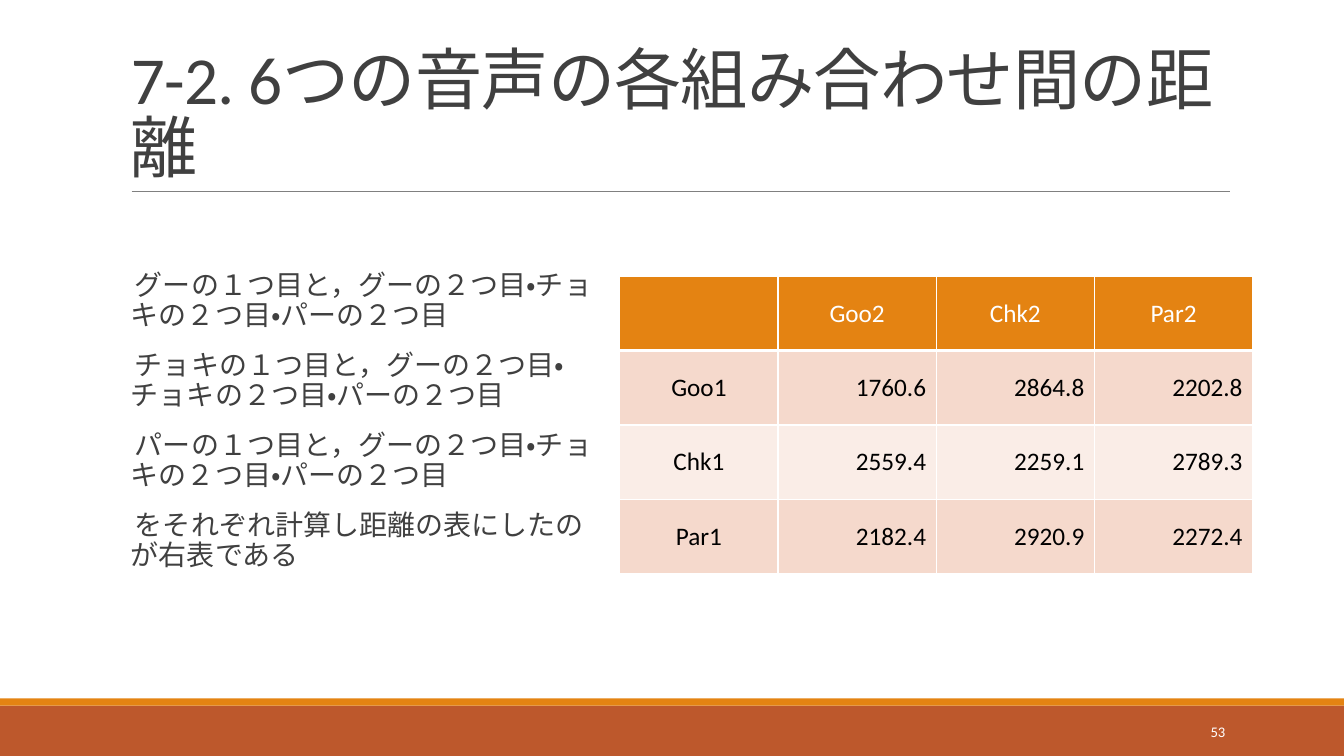
from dataclasses import dataclass

from lxml.etree import SubElement
from pptx import Presentation
from pptx.dml.color import RGBColor
from pptx.enum.lang import MSO_LANGUAGE_ID
from pptx.enum.shapes import MSO_CONNECTOR, MSO_SHAPE
from pptx.enum.text import MSO_ANCHOR, PP_ALIGN
from pptx.oxml import parse_xml
from pptx.oxml.ns import nsdecls, qn
from pptx.util import Cm, Pt


@dataclass(frozen=True)
class Theme:
    font: str = "Calibri"
    ink: str = "404040"
    black: str = "000000"
    white: str = "FFFFFF"
    rule: str = "808080"
    rust: str = "BD582C"
    gold: str = "E48312"
    bands: tuple = ("F5D9CC", "FAEDE7")
    title: float = 48
    body: float = 20
    cell: float = 18
    page: float = 10.5


THEME = Theme()
TITLE = "7-2. 6つの音声の各組み合わせ間の距離"
POINTS = [
    "グーの１つ目と，グーの２つ目・チョキの２つ目・パーの２つ目",
    "チョキの１つ目と，グーの２つ目・チョキの２つ目・パーの２つ目",
    "パーの１つ目と，グーの２つ目・チョキの２つ目・パーの２つ目",
    "をそれぞれ計算し距離の表にしたのが右表である",
]
ROWS = [
    ["", "Goo2", "Chk2", "Par2"],
    ["Goo1", "1760.6", "2864.8", "2202.8"],
    ["Chk1", "2559.4", "2259.1", "2789.3"],
    ["Par1", "2182.4", "2920.9", "2272.4"],
]


def color(code):
    return RGBColor.from_string(code)


def write(para, text, size, ink=THEME.ink, align=PP_ALIGN.LEFT,
          lead=None, before=0, after=0, track=None):
    para.alignment = align
    para.line_spacing = lead
    para.space_before, para.space_after = Pt(before), Pt(after)
    run = para.add_run()
    run.text = text
    font = run.font
    font.name, font.size, font.bold = THEME.font, Pt(size), False
    font.color.rgb = color(ink)
    font.language_id = MSO_LANGUAGE_ID.JAPANESE
    if track:
        run._r.get_or_add_rPr().set("spc", str(track))


def add_box(slide, left, top, width, height, anchor):
    """Add an empty wrapping text box and return its frame."""
    box = slide.shapes.add_textbox(Cm(left), Cm(top), Cm(width), Cm(height))
    frame = box.text_frame
    frame.word_wrap = True
    frame.vertical_anchor = anchor
    return frame


def add_bar(slide, top, height, fill):
    bar = slide.shapes.add_shape(
        MSO_SHAPE.RECTANGLE, 0, Cm(top), Cm(33.87), Cm(height))
    bar.shadow.inherit = False
    bar.fill.solid()
    bar.fill.fore_color.rgb = color(fill)
    bar.line.fill.background()


def add_rule(slide, left, right, top):
    rule = slide.shapes.add_connector(
        MSO_CONNECTOR.STRAIGHT, Cm(left), Cm(top), Cm(right), Cm(top))
    rule.line.color.rgb = color(THEME.rule)
    rule.line.width = Pt(0.5)
    SubElement(rule._element.spPr, qn("a:effectLst"))


def hang(para):
    """Give the paragraph a blank bullet with a hanging indent."""
    props = para._p.get_or_add_pPr()
    props.set("marL", str(Cm(0.25)))
    props.set("indent", str(-Cm(0.25)))
    tint = SubElement(props, qn("a:buClr"))
    SubElement(tint, qn("a:srgbClr")).set("val", THEME.gold)
    SubElement(props, qn("a:buChar")).set("char", " ")


def add_list(slide, points):
    frame = add_box(slide, 3.05, 6.71, 11.99, 8.03, MSO_ANCHOR.TOP)
    frame.margin_left = frame.margin_right = 0
    for i, point in enumerate(points):
        para = frame.add_paragraph() if i else frame.paragraphs[0]
        write(para, point, THEME.body, lead=0.9, before=12, after=2)
        hang(para)


def edge(cell, base):
    """Draw white borders round the cell, the bottom one base points wide."""
    props = cell._tc.get_or_add_tcPr()
    for i, side in enumerate("LRTB"):
        width = Pt(base if side == "B" else 1)
        props.insert(i, parse_xml(
            f'<a:ln{side} {nsdecls("a")} w="{width}"><a:solidFill>'
            f'<a:srgbClr val="{THEME.white}"/></a:solidFill></a:ln{side}>'))


def add_grid(slide, rows):
    count = len(rows[0])
    table = slide.shapes.add_table(
        len(rows), count, Cm(15.62), Cm(6.96), Cm(15.95), Cm(7.5)).table
    for r, row in enumerate(rows):
        head = r == 0
        for c, text in enumerate(row):
            cell = table.cell(r, c)
            cell.vertical_anchor = MSO_ANCHOR.MIDDLE
            cell.fill.solid()
            cell.fill.fore_color.rgb = color(
                THEME.gold if head else THEME.bands[(r - 1) % 2])
            edge(cell, 3 if head else 1)
            if text:
                write(cell.text_frame.paragraphs[0], text, THEME.cell,
                      ink=THEME.white if head else THEME.black,
                      align=PP_ALIGN.RIGHT if r and c else PP_ALIGN.CENTER)


def main():
    deck = Presentation()
    deck.slide_width, deck.slide_height = Cm(33.87), Cm(19.05)
    slide = deck.slides.add_slide(deck.slide_layouts[6])

    add_bar(slide, 17.78, 1.27, THEME.rust)
    add_bar(slide, 17.6, 0.18, THEME.gold)
    add_rule(slide, 3.32, 31.0, 4.82)

    title = add_box(slide, 3.05, 0.8, 27.94, 4.03, MSO_ANCHOR.BOTTOM)
    write(title.paragraphs[0], TITLE, THEME.title, lead=0.85, track=-50)
    add_list(slide, POINTS)
    add_grid(slide, ROWS)
    page = add_box(slide, 27.5, 17.94, 3.63, 1.01, MSO_ANCHOR.MIDDLE)
    write(page.paragraphs[0], "53", THEME.page,
          ink=THEME.white, align=PP_ALIGN.RIGHT)

    deck.save("out.pptx")


if __name__ == "__main__":
    main()
